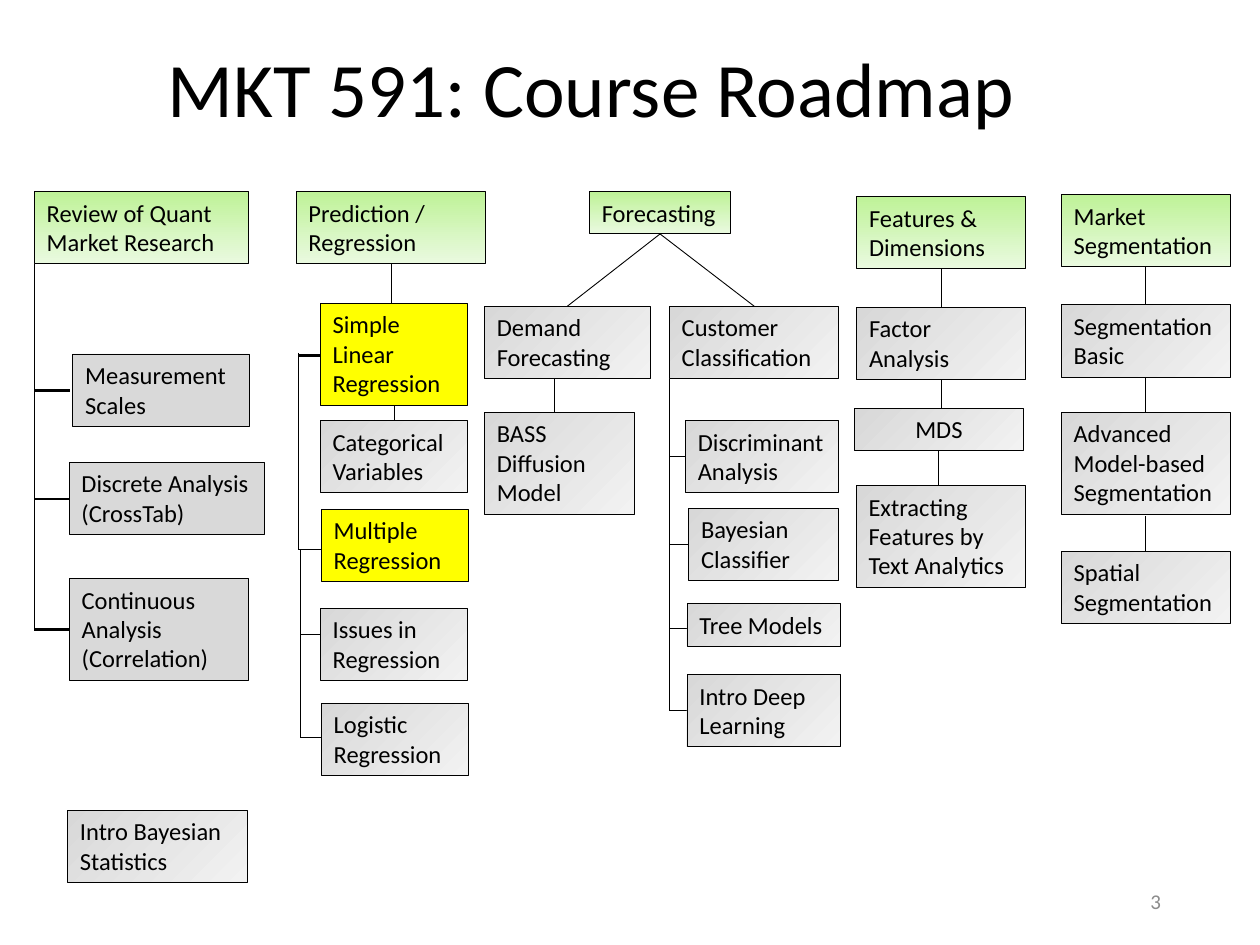
from lxml import etree
from pptx import Presentation
from pptx import util as u
from pptx.dml.color import RGBColor
from pptx.enum import shapes, text
from pptx.oxml import ns

COLORS = {
    "ink": "000000", "number": "8C8C8C", "plain": "D9D9D9", "focus": "FFFF00",
    "green_start": "BEF297", "green_end": "EAFAE0",
    "gray_start": "D8D8D8", "gray_end": "F2F2F2",
}
GRADIENT_ANGLES = {"green": 90, "gray": 45}
FONT = "Calibri"
LINE_HEIGHT, PADDING = 17.04, 7.2

# Each topic: label, number of text lines, fill, left, top, width
TOPICS = [
    # Review
    ("Review of Quant Market Research", 2, "green", 19.6, 109.4, 122.6),
    ("Measurement Scales", 2, "plain", 41.6, 202.3, 101),
    ("Discrete Analysis (CrossTab)", 2, "plain", 39.5, 264.1, 111.9),
    ("Continuous Analysis (Correlation)", 3, "plain", 39.6, 330.5, 102.6),
    ("Intro Bayesian Statistics", 2, "gray", 38.6, 463, 102.6),
    # Regression
    ("Prediction / Regression", 2, "green", 169.2, 109.4, 108),
    ("Simple Linear Regression", 3, "focus", 183, 173.3, 84.2),
    ("Categorical Variables", 2, "gray", 183, 240.3, 84.2),
    ("Multiple Regression", 2, "focus", 183.6, 291, 84.2),
    ("Issues in Regression", 2, "gray", 183, 347.6, 84.2),
    ("Logistic Regression", 2, "gray", 183.6, 401.8, 84.2),
    # Forecasting
    ("Forecasting", 1, "green", 336.8, 109.4, 80.8),
    ("Demand Forecasting", 2, "gray", 276.8, 175, 94.8),
    ("BASS Diffusion Model", 3, "gray", 276.8, 235.6, 85.7),
    ("Customer Classification", 2, "gray", 382.5, 175, 96.6),
    ("Discriminant Analysis", 2, "gray", 391.7, 240.3, 87.6),
    ("Bayesian Classifier", 2, "gray", 393.5, 290.4, 85.7),
    ("Tree Models", 1, "gray", 392.6, 345, 87.6),
    ("Intro Deep Learning", 2, "gray", 392.6, 385.5, 87.6),
    # Features
    ("Features & Dimensions", 2, "green", 489.5, 112.3, 96.7),
    ("Factor Analysis", 2, "gray", 489.5, 175.6, 96.7),
    ("MDS", 1, "gray", 488.2, 233.3, 96.7),
    ("Extracting Features by Text Analytics", 3, "gray", 489.2, 277.3, 96.7),
    # Segmentation
    ("Market Segmentation", 2, "green", 606.4, 111.2, 96.7),
    ("Segmentation Basic", 2, "gray", 606.4, 174.2, 96.7),
    ("Advanced Model-based Segmentation", 3, "gray", 606.4, 235.6, 96.7),
    ("Spatial Segmentation", 2, "gray", 606.4, 315, 96.7),
]

# Vertical links: x, top, bottom
LINKS = [
    (223.4, 150.5, 173.5), (225.4, 231.3, 240.5), (316.8, 215.5, 235.6),
    (537.8, 153.4, 175.7), (537.8, 216.7, 233.3), (536.4, 257.5, 278.6),
    (654.5, 152.4, 174.2), (654.5, 215.3, 235.6), (654.5, 295, 315),
]

# Brackets: spine x, spine top, spine bottom, branch end x, {branch y: weight}
BRACKETS = [
    (19.5, 150.5, 359.6, 40, {223.2: 1.5, 285.1: 1.5, 359.6: 1.5}),
    (170.8, 201.6, 314.3, 183.5, {203.2: 1.5, 314: 0.5}),
    (171.9, 314, 421.5, 184, {362.3: 0.5, 421.5: 0.5}),
    (382.4, 199.4, 406.2, 393, {261: 0.5, 310.9: 0.5, 359.2: 0.5, 406: 0.5}),
]


def color(name):
    return RGBColor.from_string(COLORS[name])


def write(frame, content, size=14, ink="ink", align=text.PP_ALIGN.LEFT,
          anchor=text.MSO_ANCHOR.TOP, fit=text.MSO_AUTO_SIZE.NONE, spacing=None):
    frame.word_wrap = True
    frame.auto_size = fit
    frame.vertical_anchor = anchor
    paragraph = frame.paragraphs[0]
    paragraph.alignment = align
    paragraph.line_spacing = spacing
    run = paragraph.add_run()
    run.text = content
    run.font.name = FONT
    run.font.size = u.Pt(size)
    run.font.color.rgb = color(ink)


def paint(shape, fill):
    if fill not in GRADIENT_ANGLES:
        shape.fill.solid()
        shape.fill.fore_color.rgb = color(fill)
        return
    shape.fill.gradient()
    # python-pptx measures the angle counter-clockwise
    shape.fill.gradient_angle = 360 - GRADIENT_ANGLES[fill]
    for stop, part, position in zip(shape.fill.gradient_stops, ("start", "end"), (0, 1)):
        stop.color.rgb = color(f"{fill}_{part}")
        stop.position = position


def add_topic(slide, label, lines, fill, left, top, width):
    height = PADDING + LINE_HEIGHT * lines
    shape = slide.shapes.add_shape(shapes.MSO_SHAPE.RECTANGLE, u.Pt(left), u.Pt(top),
                                   u.Pt(width), u.Pt(height))
    shape.shadow.inherit = False
    paint(shape, fill)
    shape.line.color.rgb = color("ink")
    shape.line.width = u.Pt(0.5)
    align = text.PP_ALIGN.CENTER if label == "MDS" else text.PP_ALIGN.LEFT
    write(shape.text_frame, label, align=align, fit=text.MSO_AUTO_SIZE.SHAPE_TO_FIT_TEXT)


def add_line(slide, x1, y1, x2, y2, weight=0.5):
    line = slide.shapes.add_connector(shapes.MSO_CONNECTOR.STRAIGHT, u.Pt(x1), u.Pt(y1),
                                      u.Pt(x2), u.Pt(y2))
    line.line.color.rgb = color("ink")
    line.line.width = u.Pt(weight)
    etree.SubElement(line._element.spPr, ns.qn("a:effectLst"))


def add_bracket(slide, x, top, bottom, end, branches):
    add_line(slide, x, top, x, bottom)
    for y, weight in branches.items():
        add_line(slide, x, y, end, y, weight)


def add_title(slide):
    title = slide.shapes.title
    title.left, title.top = u.Pt(88.6), u.Pt(0.7)
    title.width, title.height = u.Pt(523.4), u.Pt(104.4)
    write(title.text_frame, "MKT 591: Course Roadmap", size=44,
          anchor=text.MSO_ANCHOR.MIDDLE, spacing=0.9)


def add_slide_number(slide):
    box = slide.shapes.add_textbox(u.Pt(508.5), u.Pt(500.4), u.Pt(162), u.Pt(28.8))
    write(box.text_frame, "3", size=12, ink="number", align=text.PP_ALIGN.RIGHT,
          anchor=text.MSO_ANCHOR.MIDDLE)


def main():
    presentation = Presentation()
    presentation.slide_width, presentation.slide_height = u.Pt(720), u.Pt(540)
    slide = presentation.slides.add_slide(presentation.slide_layouts[5])
    add_title(slide)
    add_slide_number(slide)

    # Lines lie behind the topic boxes
    for x, top, bottom in LINKS:
        add_line(slide, x, top, x, bottom)
    for bracket in BRACKETS:
        add_bracket(slide, *bracket)
    for child_x in (324.2, 431):
        add_line(slide, 377.2, 133.7, child_x, 175)

    for topic in TOPICS:
        add_topic(slide, *topic)
    presentation.save("out.pptx")


if __name__ == "__main__":
    main()
